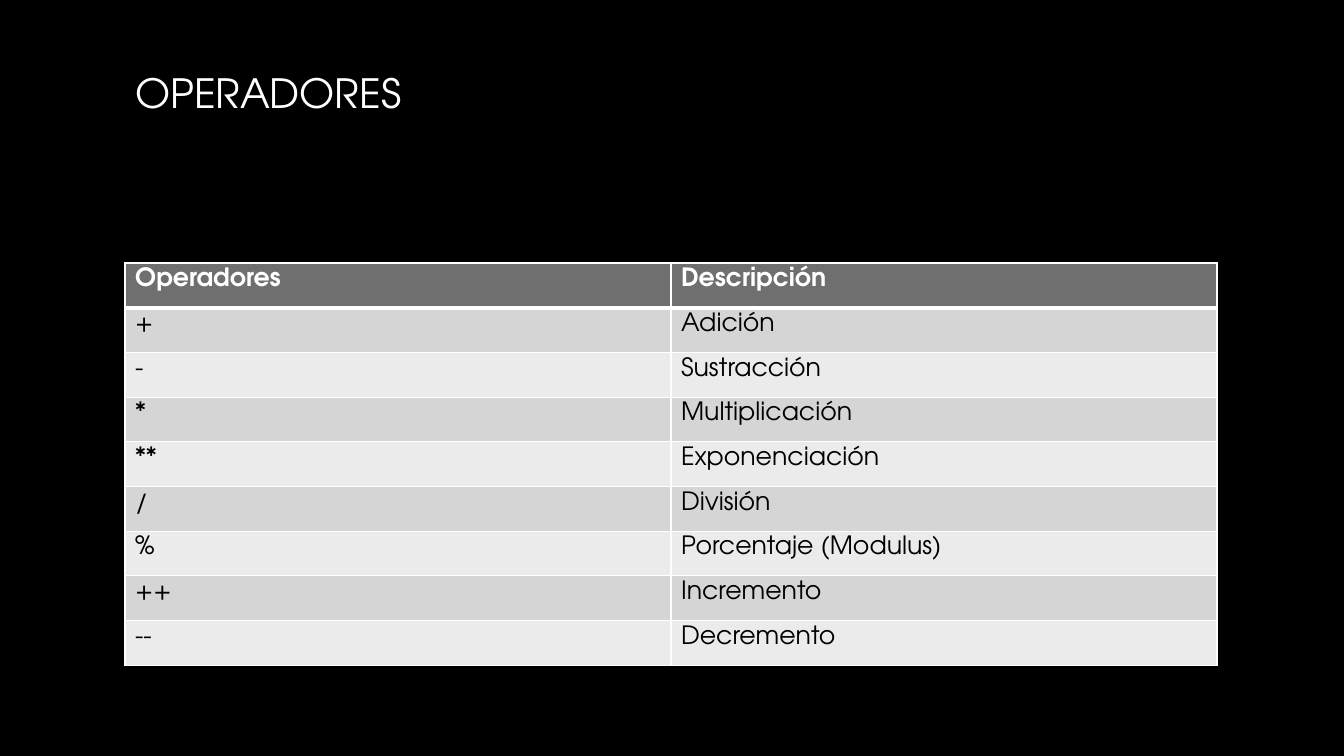
from lxml import etree
from pptx import Presentation
from pptx import util as u
from pptx.dml.color import RGBColor
from pptx.enum import text
from pptx.oxml.ns import qn

WIDTH, HEIGHT = u.Inches(13.33), u.Inches(7.5)
MARGIN, SPAN = u.Inches(1.24), u.Inches(10.83)
FONT = "TeX Gyre Adventor"
COLORS = {"night": "000000", "white": "FFFFFF", "header": "6F6F6F",
          "odd": "D5D5D5", "even": "EBEBEB"}
OPERATORS = [
    ("Operadores", "Descripción"),
    ("+", "Adición"),
    ("-", "Sustracción"),
    ("*", "Multiplicación"),
    ("**", "Exponenciación"),
    ("/", "División"),
    ("%", "Porcentaje (Modulus)"),
    ("++", "Incremento"),
    ("--", "Decremento"),
]


def rgb(name):
    """Return the named colour."""
    return RGBColor.from_string(COLORS[name])


def apply(target, values):
    """Set every attribute of a dict on the target."""
    for name, value in values.items():
        setattr(target, name, value)


def write(frame, words, color, **values):
    """Put one formatted run in a text frame."""
    run = frame.paragraphs[0].add_run()
    run.text = words
    apply(run.font, {"name": FONT, **values})
    run.font.color.rgb = rgb(color)


def add_borders(cell, widths):
    """Draw white borders with the given point width per side."""
    props = cell._tc.get_or_add_tcPr()
    for place, (side, points) in enumerate(widths.items()):
        line = etree.Element(qn(f"a:ln{side}"), w=str(u.Pt(points)))
        fill = etree.SubElement(line, qn("a:solidFill"))
        etree.SubElement(fill, qn("a:srgbClr"), val=COLORS["white"])
        props.insert(place, line)


def add_title(slide, words):
    """Place and write the slide title."""
    title = slide.shapes.title
    apply(title, {"left": MARGIN, "top": u.Inches(0.67),
                  "width": SPAN, "height": u.Inches(0.5)})
    apply(title.text_frame, {"vertical_anchor": text.MSO_ANCHOR.MIDDLE,
                             "word_wrap": True})
    title.text_frame.paragraphs[0].alignment = text.PP_ALIGN.LEFT
    write(title.text_frame, words, "white", size=u.Pt(28.8))


def add_operator_table(slide, rows):
    """Add a two-column table with a header and alternating bands."""
    table = slide.shapes.add_table(len(rows), len(rows[0]), MARGIN, u.Inches(2.61),
                                   SPAN, u.Inches(3.99)).table
    for r, entries in enumerate(rows):
        band = "header" if r == 0 else "odd" if r % 2 else "even"
        widths = {"L": 1, "R": 1, "T": 3 if r == 1 else 1, "B": 3 if r == 0 else 1}
        for c, words in enumerate(entries):
            cell = table.cell(r, c)
            cell.fill.solid()
            cell.fill.fore_color.rgb = rgb(band)
            add_borders(cell, widths)
            write(cell.text_frame, words, "night" if r else "white",
                  size=u.Pt(18), bold=r == 0)


def main():
    """Build the operators slide."""
    deck = Presentation()
    apply(deck, {"slide_width": WIDTH, "slide_height": HEIGHT})
    slide = deck.slides.add_slide(deck.slide_layouts[5])
    slide.background.fill.solid()
    slide.background.fill.fore_color.rgb = rgb("night")
    add_title(slide, "OPERADORES")
    add_operator_table(slide, OPERATORS)
    deck.save("out.pptx")


if __name__ == "__main__":
    main()
